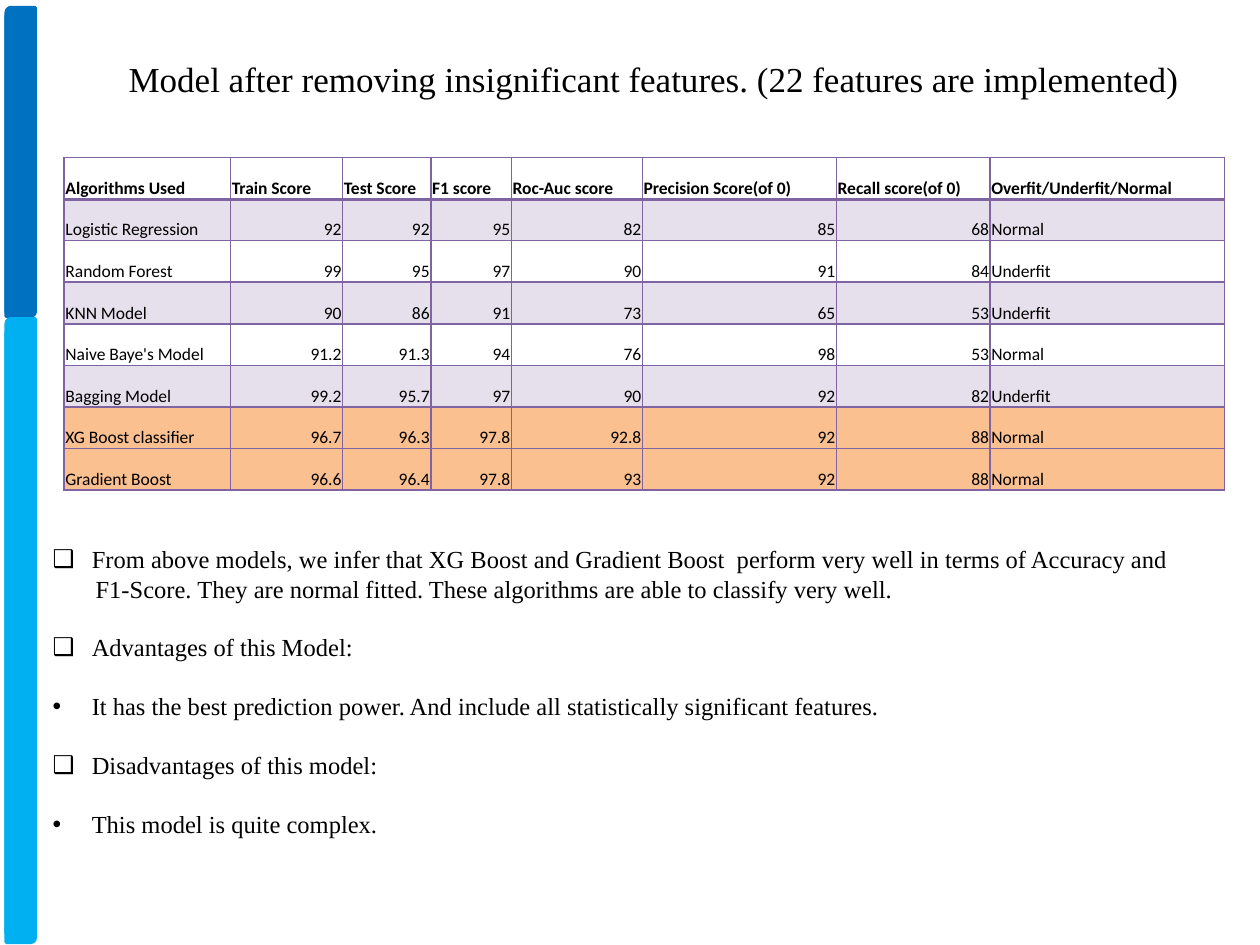
from lxml import etree
from pptx import Presentation
from pptx.dml.color import RGBColor
from pptx.enum.shapes import MSO_SHAPE
from pptx.enum.text import MSO_ANCHOR, MSO_AUTO_SIZE, PP_ALIGN
from pptx.oxml.ns import qn
from pptx.util import Inches, Pt

ROUND_DIAG = MSO_SHAPE.ROUND_2_DIAG_RECTANGLE
TOP, BOTTOM = MSO_ANCHOR.TOP, MSO_ANCHOR.BOTTOM
NO_AUTOFIT = MSO_AUTO_SIZE.NONE
LEFT, RIGHT, JUSTIFY = PP_ALIGN.LEFT, PP_ALIGN.RIGHT, PP_ALIGN.JUSTIFY
TITLE_ONLY = 5

SERIF, SANS = "Times New Roman", "Calibri"
BLACK, PURPLE, ORANGE = "000000", "8064A2", "FAC090"
DARK_BLUE, LIGHT_BLUE = "0070C0", "00B0F0"
LINE_PITCH = 16.8

TITLE = "Model after removing insignificant features. (22 features are implemented)"
HEADER = ["Algorithms Used", "Train Score", "Test Score", "F1 score", "Roc-Auc score",
          "Precision Score(of 0)", "Recall score(of 0)", "Overfit/Underfit/Normal"]
MODELS = [
    ["Logistic Regression", 92, 92, 95, 82, 85, 68, "Normal"],
    ["Random Forest", 99, 95, 97, 90, 91, 84, "Underfit"],
    ["KNN Model", 90, 86, 91, 73, 65, 53, "Underfit"],
    ["Naive Baye's Model", 91.2, 91.3, 94, 76, 98, 53, "Normal"],
    ["Bagging Model", 99.2, 95.7, 97, 90, 92, 82, "Underfit"],
    ["XG Boost classifier", 96.7, 96.3, 97.8, 92.8, 92, 88, "Normal"],
    ["Gradient Boost", 96.6, 96.4, 97.8, 93, 92, 88, "Normal"],
]
BEST_MODELS = ("XG Boost classifier", "Gradient Boost")
COL_WIDTHS = [1.32, 0.89, 0.7, 0.64, 1.04, 1.54, 1.22, 1.86]

# bullet, text, alignment, gap before in points
FINDINGS = [
    ("❑", "From above models, we infer that XG Boost and Gradient Boost  perform very well "
          "in terms of Accuracy and", JUSTIFY, 0),
    (None, "F1-Score. They are normal fitted. These algorithms are able to classify very well.",
     JUSTIFY, 0),
    ("❑", "Advantages of this Model:", LEFT, LINE_PITCH),
    ("•", "It has the best prediction power. And include all statistically significant features.",
     LEFT, LINE_PITCH),
    ("❑", "Disadvantages of this model:", LEFT, LINE_PITCH),
    ("•", "This model is quite complex.", LEFT, LINE_PITCH),
]


def rgb(color):
    return RGBColor.from_string(color)


def write(p, text, size=14, font=SERIF, color=BLACK, bold=False, align=LEFT):
    p.alignment = align
    r = p.add_run()
    r.text = text
    r.font.size, r.font.name, r.font.bold = Pt(size), font, bold
    r.font.color.rgb = rgb(color)


def set_bullet(p, char, indent):
    pPr = p._p.get_or_add_pPr()
    pPr.set("marL", str(Inches(indent)))
    pPr.set("indent", str(-Inches(indent) if char else 0))
    if char:
        etree.SubElement(pPr, qn("a:buFont"), typeface="Arial")
        etree.SubElement(pPr, qn("a:buChar"), char=char)
    else:
        etree.SubElement(pPr, qn("a:buNone"))


def set_borders(cell, color, **widths):
    tcPr = cell._tc.get_or_add_tcPr()
    for side in "LRTB":
        ln = etree.SubElement(tcPr, qn(f"a:ln{side}"), w=str(Pt(widths.get(side, 1))))
        fill = etree.SubElement(ln, qn("a:solidFill"))
        etree.SubElement(fill, qn("a:srgbClr"), val=color)


def fill_cell(cell, color, opacity=100):
    cell.fill.solid()
    cell.fill.fore_color.rgb = rgb(color)
    if opacity < 100:
        clr = cell._tc.tcPr.find(".//" + qn("a:solidFill") + "/" + qn("a:srgbClr"))
        clr = cell._tc.tcPr.find(qn("a:solidFill")).find(qn("a:srgbClr"))
        etree.SubElement(clr, qn("a:alpha"), val=str(opacity * 1000))


def add_bar(s, left, top, width, height, color):
    sp = s.shapes.add_shape(ROUND_DIAG, Inches(left), Inches(top), Inches(width), Inches(height))
    sp.shadow.inherit = False
    sp.fill.solid()
    sp.fill.fore_color.rgb = rgb(color)
    sp.line.color.rgb = rgb(color)
    sp.line.width = Pt(2)


def add_side_bars(s, left, width):
    # The lower pair sits behind and shows past the ends of the upper pair
    for dark_top, light_top in ((0.09, 2.6), (0.06, 2.53)):
        add_bar(s, left, dark_top, width, 2.42, DARK_BLUE)
        add_bar(s, left, light_top, width, 4.88, LIGHT_BLUE)


def add_title(s, left, top, width, height):
    sp = s.shapes.title
    sp.left, sp.top, sp.width, sp.height = (Inches(v) for v in (left, top, width, height))
    tf = sp.text_frame
    tf.word_wrap, tf.auto_size, tf.vertical_anchor = True, NO_AUTOFIT, TOP
    write(tf.paragraphs[0], TITLE, size=20)


def add_score_table(s, left, top, width, height):
    rows = [HEADER] + MODELS
    table = s.shapes.add_table(len(rows), len(HEADER), Inches(left), Inches(top),
                               Inches(width), Inches(height)).table
    table.first_row = table.horz_banding = False
    for col, col_width in zip(table.columns, COL_WIDTHS):
        col.width = Inches(col_width)
    for i, row in enumerate(rows):
        table.rows[i].height = Inches(height / len(rows))
        for j, value in enumerate(row):
            cell = table.cell(i, j)
            cell.vertical_anchor = BOTTOM
            cell.margin_left = cell.margin_right = cell.margin_top = Inches(0.01)
            cell.margin_bottom = 0
            # Heavier rule under the header
            set_borders(cell, PURPLE, T=2 if i == 1 else 1, B=2 if i == 0 else 1)
            if row[0] in BEST_MODELS:
                fill_cell(cell, ORANGE)
            elif i % 2:
                fill_cell(cell, PURPLE, opacity=20)
            else:
                cell.fill.background()
            write(cell.text_frame.paragraphs[0], str(value), size=10, font=SANS,
                  bold=i == 0, align=LEFT if isinstance(value, str) else RIGHT)


def add_findings(s, left, top, width, height):
    tf = s.shapes.add_textbox(Inches(left), Inches(top), Inches(width), Inches(height)).text_frame
    tf.word_wrap = True
    for i, (bullet, text, align, gap) in enumerate(FINDINGS):
        p = tf.add_paragraph() if i else tf.paragraphs[0]
        p.line_spacing, p.space_before = Pt(LINE_PITCH), Pt(gap)
        set_bullet(p, bullet, 0.31 if bullet else 0.34)
        write(p, text, align=align)


def main():
    prs = Presentation()
    prs.slide_width, prs.slide_height = Inches(10), Inches(7.5)
    s = prs.slides.add_slide(prs.slide_layouts[TITLE_ONLY])
    add_side_bars(s, 0.05, 0.23)
    add_score_table(s, 0.51, 1.25, sum(COL_WIDTHS), 2.64)
    add_title(s, 0.92, 0.41, 8.81, 0.44)
    add_findings(s, 0.32, 4.27, 9.68, 2.46)
    prs.save("out.pptx")


if __name__ == "__main__":
    main()
